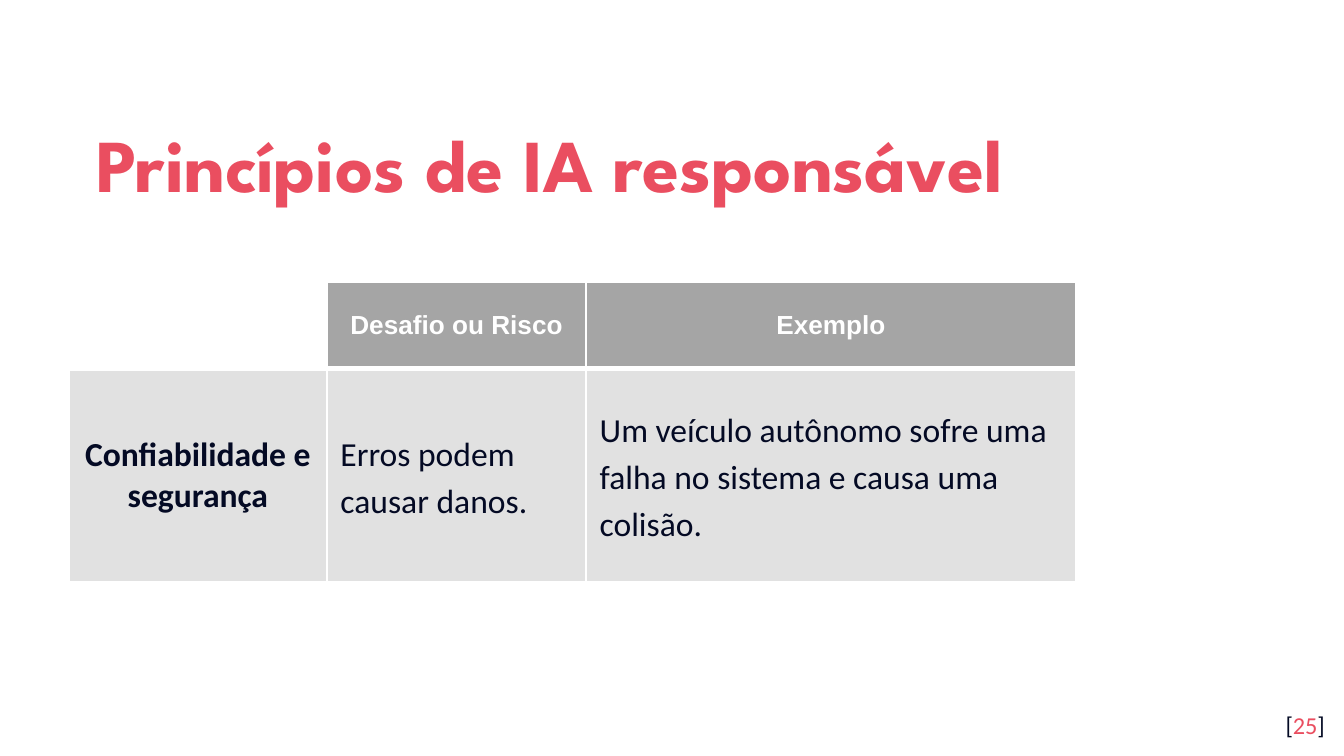
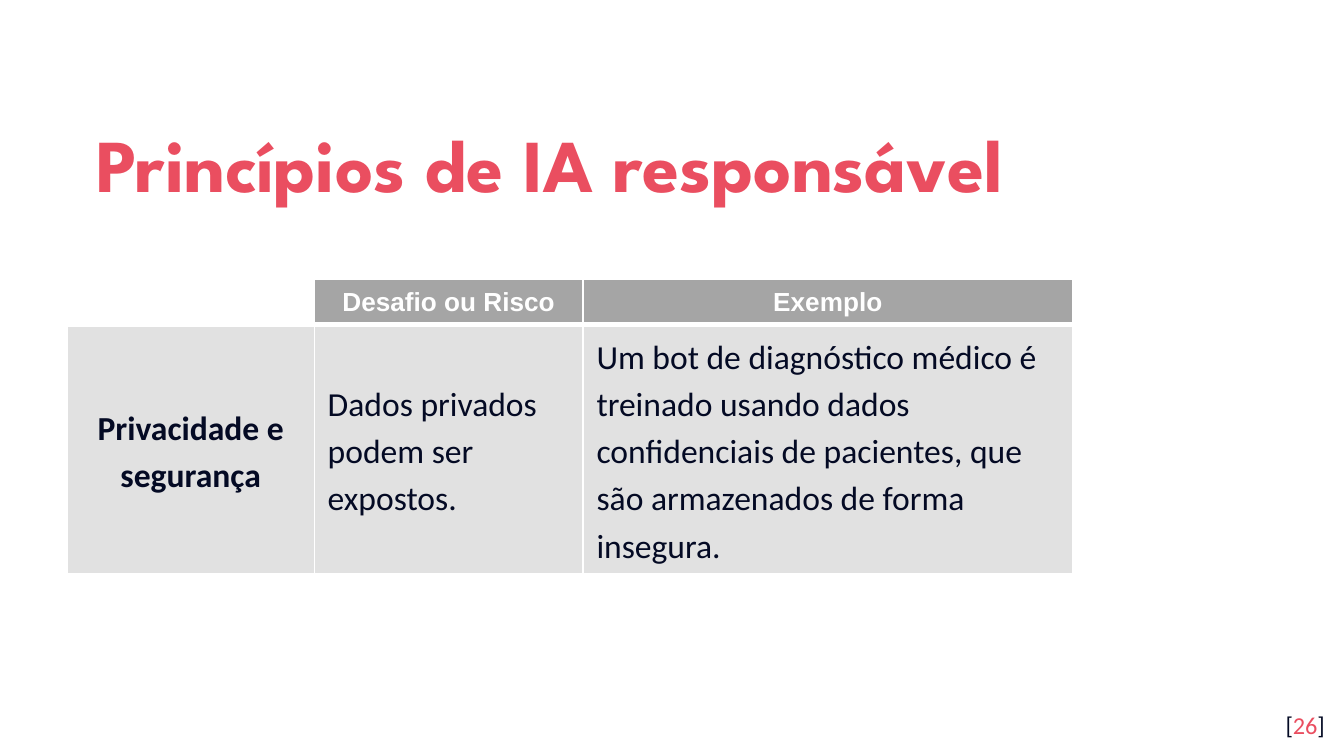
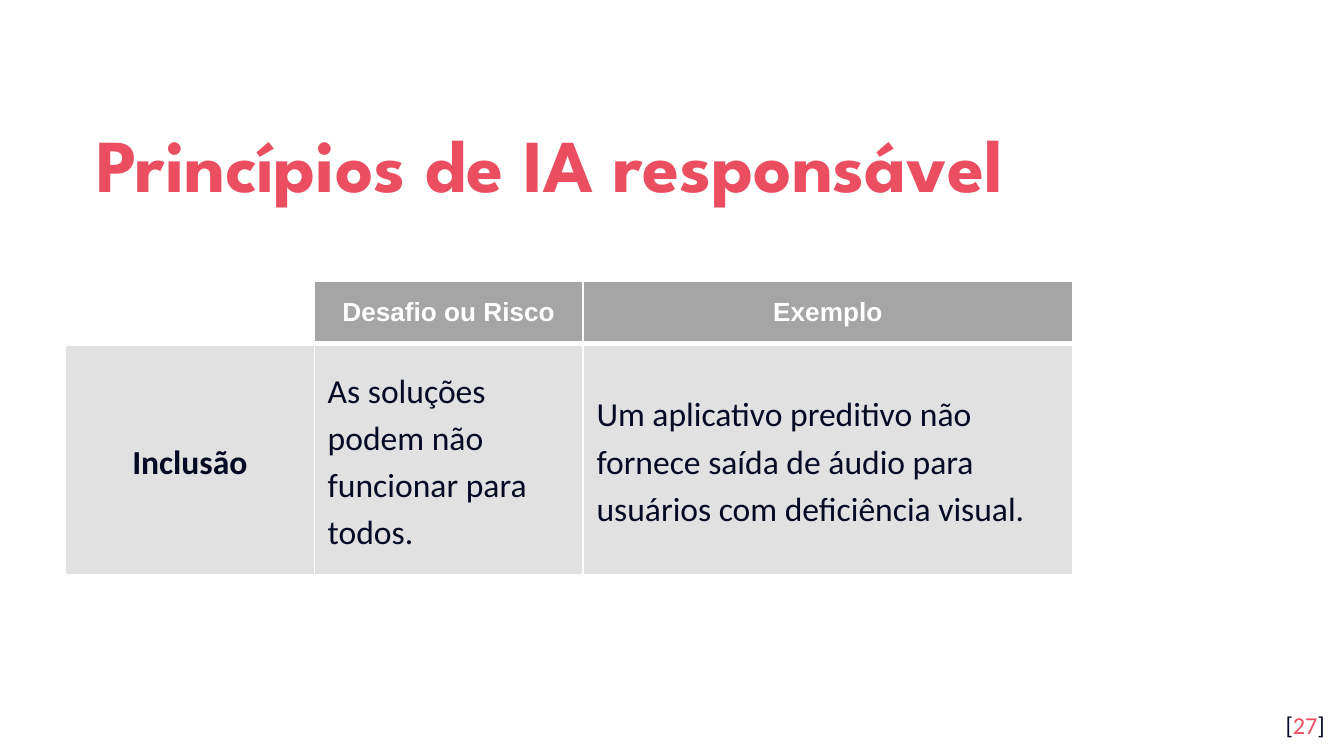
from lxml.etree import SubElement
from pptx import Presentation
from pptx.dml.color import RGBColor
from pptx.enum.text import MSO_ANCHOR as Anchor, MSO_AUTO_SIZE as AutoSize, PP_ALIGN as Align
from pptx.oxml.ns import qn
from pptx.util import Cm, Pt

COLORS = {"accent": "EA4E60", "ink": "040A24", "white": "FFFFFF", "header": "A5A5A5", "body": "E1E1E1"}

TITLE = "Princípios de IA responsável"
HEADERS = ["", "Desafio ou Risco", "Exemplo"]
PRINCIPLES = [
    {
        "page": 25,
        "row": ["Confiabilidade e segurança", "Erros podem causar danos.",
                "Um veículo autônomo sofre uma falha no sistema e causa uma colisão."],
        "title_width": 20.02, "origin": (1.3, 5.33), "columns": (4.88, 4.9, 9.25),
        "heights": (1.63, 4.04), "name_spacing": 1.0,
    },
    {
        "page": 26,
        "row": ["Privacidade e segurança", "Dados privados podem ser expostos.",
                "Um bot de diagnóstico médico é treinado usando dados confidenciais de pacientes, "
                "que são armazenados de forma insegura."],
        "title_width": 22.28, "origin": (1.27, 5.28), "columns": (4.67, 5.08, 9.25),
        "heights": (0.82, 4.7), "name_spacing": 1.15,
    },
    {
        "page": 27,
        "row": ["Inclusão", "As soluções podem não funcionar para todos.",
                "Um aplicativo preditivo não fornece saída de áudio para usuários com deficiência visual."],
        "title_width": 22.28, "origin": (1.24, 5.31), "columns": (4.7, 5.08, 9.25),
        "heights": (1.19, 4.37), "name_spacing": 1.15,
    },
]

TITLE_FONT = {"name": "League Spartan", "size": Pt(40), "bold": True}
HEADER_FONT = {"name": "Arial", "size": Pt(14), "bold": True}
NAME_FONT = {"name": "Calibri", "size": Pt(18), "bold": True}
TEXT_FONT = {**NAME_FONT, "bold": False}
PAGE_FONT = {"name": "Calibri", "size": Pt(13)}
FRAME = {"word_wrap": True, "auto_size": AutoSize.NONE}
MARGINS = {f"margin_{side}": Cm(0.25) for side in ("left", "top", "right", "bottom")}
HEADER_BORDERS = {"L": 1, "R": 1, "T": 1, "B": 3}
BODY_BORDERS = {"L": 1, "R": 1, "T": 3, "B": 1}


def apply(target, values):
    for name, value in values.items():
        setattr(target, name, value)


def box(left, top, width, height):
    return {"left": Cm(left), "top": Cm(top), "width": Cm(width), "height": Cm(height)}


def add_run(paragraph, text, font, color):
    run = paragraph.add_run()
    run.text = text
    apply(run.font, font)
    run.font.color.rgb = RGBColor.from_string(COLORS[color])


def add_title(slide, width):
    title = slide.shapes.title
    apply(title, box(1.57, 1.78, width, 2.34))
    apply(title.text_frame, {**FRAME, **MARGINS, "vertical_anchor": Anchor.MIDDLE})
    paragraph = title.text_frame.paragraphs[0]
    apply(paragraph, {"alignment": Align.LEFT, "line_spacing": 1.15})
    add_run(paragraph, TITLE, TITLE_FONT, "accent")


def add_page_number(slide, page):
    frame = slide.shapes.add_textbox(**box(23.77, 13.18, 1.52, 1.09)).text_frame
    apply(frame, {**FRAME, **MARGINS})
    paragraph = frame.paragraphs[0]
    paragraph.alignment = Align.RIGHT
    for text, color in (("[", "ink"), (str(page), "accent"), ("]", "ink")):
        add_run(paragraph, text, PAGE_FONT, color)


def style_cell(cell, fill, borders):
    properties = cell._tc.get_or_add_tcPr()
    for side, points in borders.items():
        line = SubElement(properties, qn(f"a:ln{side}"), w=str(Pt(points)))
        SubElement(SubElement(line, qn("a:solidFill")), qn("a:srgbClr"), val=COLORS["white"])
    cell.fill.solid()
    cell.fill.fore_color.rgb = RGBColor.from_string(COLORS[fill])
    cell.vertical_anchor = Anchor.MIDDLE


def fill_cell(cell, text, font, color, alignment, spacing):
    paragraph = cell.text_frame.paragraphs[0]
    apply(paragraph, {"alignment": alignment, "line_spacing": spacing})
    if text:
        add_run(paragraph, text, font, color)
    else:
        SubElement(paragraph._p, qn("a:endParaRPr"), sz="1400")


def add_principle_table(slide, principle):
    columns, heights = principle["columns"], principle["heights"]
    place = box(*principle["origin"], sum(columns), sum(heights))
    table = slide.shapes.add_table(len(heights), len(columns), **place).table
    apply(table, {"first_row": False, "horz_banding": False})
    for row, height in zip(table.rows, heights):
        row.height = Cm(height)
    for index, (width, header, text) in enumerate(zip(columns, HEADERS, principle["row"])):
        table.columns[index].width = Cm(width)
        top, bottom = table.cell(0, index), table.cell(1, index)
        style_cell(top, "header" if header else "white", HEADER_BORDERS)
        fill_cell(top, header, HEADER_FONT, "white", Align.CENTER, 1.0)
        style_cell(bottom, "body", BODY_BORDERS)
        if index == 0:
            fill_cell(bottom, text, NAME_FONT, "ink", Align.CENTER, principle["name_spacing"])
        else:
            fill_cell(bottom, text, TEXT_FONT, "ink", Align.LEFT, 1.15)


def main():
    presentation = Presentation()
    apply(presentation, {"slide_width": Cm(25.4), "slide_height": Cm(14.29)})
    for principle in PRINCIPLES:
        slide = presentation.slides.add_slide(presentation.slide_layouts[5])
        add_title(slide, principle["title_width"])
        add_page_number(slide, principle["page"])
        add_principle_table(slide, principle)
    presentation.save("out.pptx")


if __name__ == "__main__":
    main()
